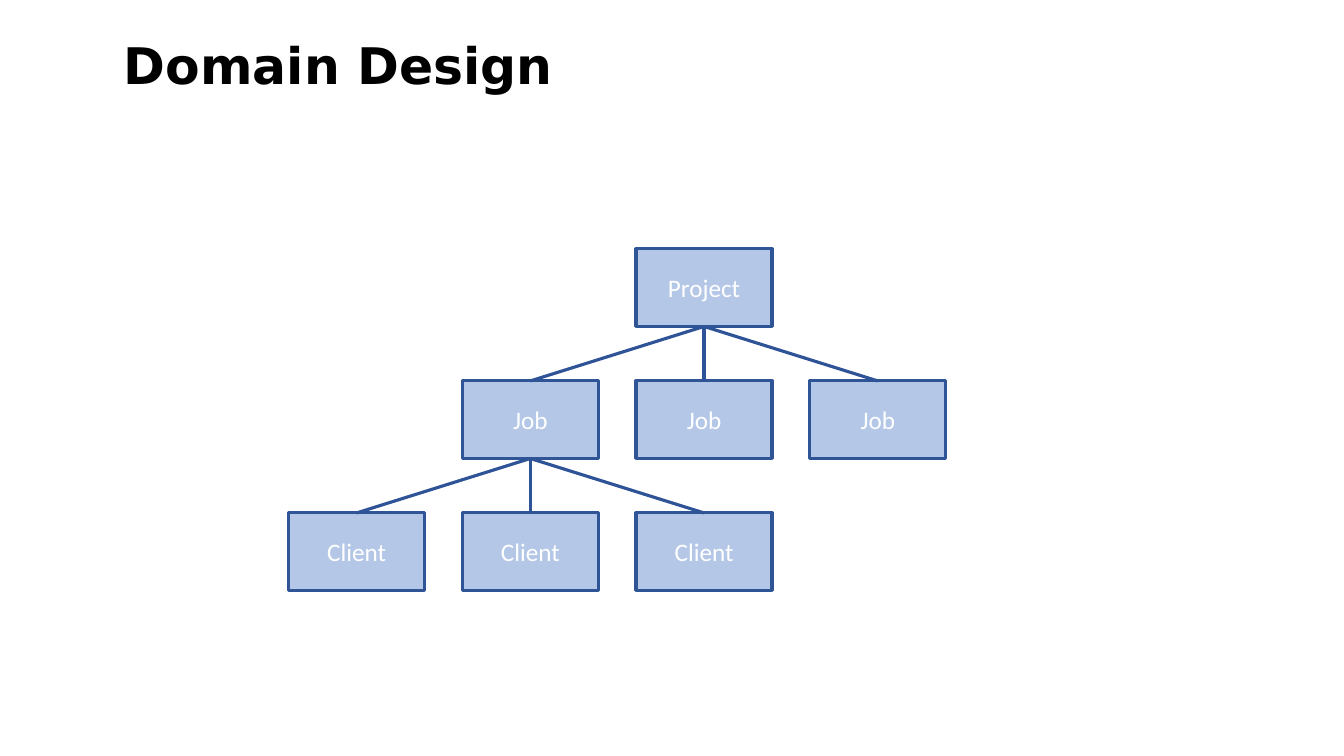
from dataclasses import dataclass

from lxml import etree
from pptx import Presentation
from pptx import util as u
from pptx.dml.color import RGBColor
from pptx.enum import shapes, text
from pptx.oxml import ns


@dataclass(frozen=True)
class Theme:
    ink: str = "000000"
    box_fill: str = "B4C7E7"
    box_line: str = "2F5597"
    link: str = "2E5497"
    label: str = "FFFFFF"
    title_font: str = "DejaVu Sans"
    label_font: str = "Calibri"
    title_size: float = 36
    label_size: float = 18
    stroke: float = 2.25


class TreeSlide:
    box_width, box_height = 97.2, 55.4
    first_left, column_step = 206.1, 124.1
    first_top, level_step = 177.8, 94.3

    def __init__(self, slide, theme):
        self.slide = slide
        self.theme = theme

    def set_words(self, frame, words, font_name, size, color, bold=False):
        frame.word_wrap = True
        frame.vertical_anchor = text.MSO_ANCHOR.MIDDLE
        frame.text = words
        font = frame.paragraphs[0].runs[0].font
        font.name = font_name
        font.size = u.Pt(size)
        font.bold = bold
        font.color.rgb = RGBColor.from_string(color)
        return frame.paragraphs[0]

    def outline(self, line, color):
        line.color.rgb = RGBColor.from_string(color)
        line.width = u.Pt(self.theme.stroke)

    def title(self, words):
        heading = self.slide.shapes.add_textbox(u.Pt(81.4), u.Pt(0), u.Pt(812.9), u.Pt(97.9))
        paragraph = self.set_words(heading.text_frame, words, self.theme.title_font,
                                   self.theme.title_size, self.theme.ink, bold=True)
        paragraph.line_spacing = 0.9

    def node(self, words, column, level):
        left = self.first_left + column * self.column_step
        top = self.first_top + level * self.level_step
        box = self.slide.shapes.add_shape(
            shapes.MSO_SHAPE.RECTANGLE, u.Pt(left), u.Pt(top),
            u.Pt(self.box_width), u.Pt(self.box_height))
        box.shadow.inherit = False
        box.fill.solid()
        box.fill.fore_color.rgb = RGBColor.from_string(self.theme.box_fill)
        self.outline(box.line, self.theme.box_line)
        paragraph = self.set_words(box.text_frame, words, self.theme.label_font,
                                   self.theme.label_size, self.theme.label)
        paragraph.alignment = text.PP_ALIGN.CENTER
        return box

    def link(self, child, parent):
        branch = self.slide.shapes.add_connector(
            shapes.MSO_CONNECTOR.STRAIGHT, u.Pt(0), u.Pt(0), u.Pt(0), u.Pt(0))
        branch.begin_connect(child, 0)
        branch.end_connect(parent, 2)
        self.outline(branch.line, self.theme.link)
        etree.SubElement(branch._element.spPr, ns.qn("a:effectLst"))

    def children(self, words, columns, level, parent):
        nodes = [self.node(words, column, level) for column in columns]
        for child in nodes:
            self.link(child, parent)
        return nodes


def main():
    deck = Presentation()
    deck.slide_width, deck.slide_height = u.Pt(960), u.Pt(540)
    domain = TreeSlide(deck.slides.add_slide(deck.slide_layouts[6]), Theme())
    domain.title("Domain Design")
    project = domain.node("Project", 2, 0)
    jobs = domain.children("Job", (1, 2, 3), 1, project)
    domain.children("Client", (0, 1, 2), 2, jobs[0])
    deck.save("out.pptx")


if __name__ == "__main__":
    main()
